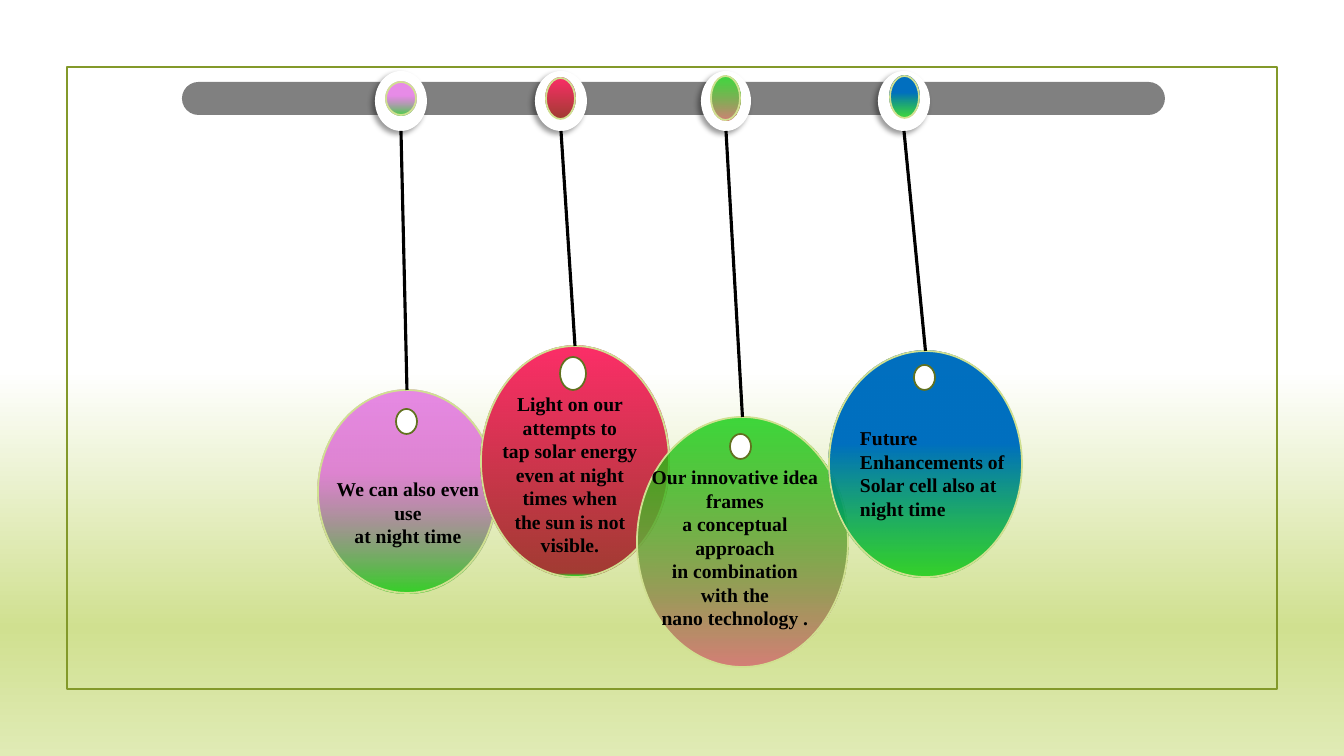
import pptx
import pptx.dml.color
import pptx.enum.dml
import pptx.enum.shapes
import pptx.enum.text
import pptx.oxml
import pptx.oxml.ns
import pptx.util

RGB = pptx.dml.color.RGBColor
WHITE = RGB(0xFF, 0xFF, 0xFF)
BLACK = RGB(0x00, 0x00, 0x00)
GREY = RGB(0x80, 0x80, 0x80)
OLIVE = RGB(0x83, 0x99, 0x2A)
DARK_OLIVE = RGB(0x61, 0x71, 0x1F)
PALE = RGB(0xD0, 0xE0, 0x90)
MIST = RGB(0xE0, 0xEB, 0xB5)
PURPLE = RGB(0xCC, 0x00, 0xCC)
GREEN = RGB(0x00, 0xCC, 0x00)
PINK = RGB(0xFA, 0x2F, 0x67)
BRICK = RGB(0xA2, 0x3C, 0x33)
SALMON = RGB(0xD4, 0x7F, 0x77)
BLUE = RGB(0x00, 0x70, 0xC0)

# Boxes are (left, top, width, height) in px; gradient stops are (position %, colour, opacity %)
PAGE_SIZE = (1344, 756)
BACKDROP = [(49, WHITE, 100), (83, PALE, 100), (100, MIST, 100)]
FRAME = (67, 67, 1210, 622)
RAIL_BACK = (137, 71, 1069, 60)
RAIL = (182, 82, 983, 33)
PENDULUMS = [
    {"ball": (318, 390, 178, 203), "hole": (396, 409, 21, 25),
     "ring": (375, 71, 52, 60), "bead": (386, 82, 30, 33),
     "stops": [(41, PURPLE, 45), (100, GREEN, 75)],
     "label": (323, 472, 170, 82), "centred": True,
     "lines": ["We can also even use", "at night time"]},
    {"ball": (481, 346, 188, 231), "hole": (560, 357, 26, 33),
     "ring": (535, 71, 52, 60), "bead": (546, 78, 29, 41),
     "stops": [(3, PINK, 100), (98, BRICK, 100), (99, GREEN, 75)],
     "label": (484, 387, 172, 176), "centred": True,
     "lines": ["Light on our attempts to", "tap solar energy",
               "even at night times when", "the sun is not visible."]},
    {"ball": (637, 417, 211, 250), "hole": (730, 434, 21, 25),
     "ring": (701, 71, 50, 60), "bead": (711, 76, 29, 44),
     "stops": [(0, GREEN, 75), (100, SALMON, 100)],
     "label": (632, 460, 206, 176), "centred": True,
     "lines": ["Our innovative idea", "frames", "a conceptual approach",
               "in combination", "with the", "nano technology ."]},
    {"ball": (829, 351, 193, 226), "hole": (914, 365, 21, 25),
     "ring": (878, 71, 52, 60), "bead": (890, 76, 29, 42),
     "stops": [(41, BLUE, 100), (100, GREEN, 75)],
     "label": (850, 421, 191, 105), "centred": False,
     "lines": ["Future", "Enhancements of Solar cell also at night time"]},
]

KIND = pptx.enum.shapes.MSO_SHAPE
qn = pptx.oxml.ns.qn
NS = pptx.oxml.ns.nsdecls("a")
EMU_PER_PX = 12192000 / PAGE_SIZE[0]


def emu(*lengths):
    return [round(length * EMU_PER_PX) for length in lengths]


def paint_gradient(fill, owner, stops):
    fill.gradient()
    fill.gradient_angle = 270
    stop_list = owner.find(".//" + qn("a:gsLst"))
    for stop in list(stop_list):
        stop_list.remove(stop)
    for position, colour, opacity in stops:
        stop_list.append(pptx.oxml.parse_xml(
            f'<a:gs {NS} pos="{position * 1000}"><a:srgbClr val="{colour}">'
            f'<a:alpha val="{opacity * 1000}"/></a:srgbClr></a:gs>'))


def add_part(page, kind, box, fill=None, stops=None, line=None):
    part = page.shapes.add_shape(kind, *emu(*box))
    part.shadow.inherit = False
    if stops:
        paint_gradient(part.fill, part.element, stops)
    elif fill is not None:
        part.fill.solid()
        part.fill.fore_color.rgb = fill
    else:
        part.fill.background()
    if line is None:
        part.line.fill.background()
    else:
        part.line.color.rgb = line
        part.line.width = pptx.util.Pt(1.25)
    return part


def add_ring(page, box):
    ring = add_part(page, KIND.OVAL, box, fill=WHITE)
    effects = ring.element.spPr.find(qn("a:effectLst"))
    effects.append(pptx.oxml.parse_xml(
        f'<a:outerShdw {NS} blurRad="{pptx.util.Pt(4)}" dist="{pptx.util.Pt(3)}" '
        'dir="8100000" algn="tr" rotWithShape="0"><a:srgbClr val="000000">'
        '<a:alpha val="40000"/></a:srgbClr></a:outerShdw>'))


def add_rope(page, ring_box, ball):
    left, top, width, height = ring_box
    start = emu(left + width / 2, top + height)
    rope = page.shapes.add_connector(
        pptx.enum.shapes.MSO_CONNECTOR.STRAIGHT, *start, *start)
    rope.end_connect(ball, 0)
    rope.line.color.rgb = BLACK
    rope.line.width = pptx.util.Pt(2.25)
    rope.element.spPr.append(pptx.oxml.parse_xml(f"<a:effectLst {NS}/>"))


def add_label(page, box, lines, centred):
    frame = page.shapes.add_textbox(*emu(*box)).text_frame
    frame.word_wrap = True
    frame.auto_size = pptx.enum.text.MSO_AUTO_SIZE.SHAPE_TO_FIT_TEXT
    frame.text = "\n".join(lines)
    align = pptx.enum.text.PP_ALIGN
    for para in frame.paragraphs:
        para.alignment = align.CENTER if centred else align.LEFT
        para.font.name = "Times New Roman"
        para.font.size = pptx.util.Pt(14)
        para.font.bold = True
        para.font.color.rgb = BLACK


def main():
    deck = pptx.Presentation()
    deck.slide_width, deck.slide_height = emu(*PAGE_SIZE)
    page = deck.slides.add_slide(deck.slide_layouts[6])

    # Background, frame and rail
    paint_gradient(page.background.fill, page.element, BACKDROP)
    add_part(page, KIND.RECTANGLE, FRAME, line=OLIVE)
    for box, colour in ((RAIL_BACK, WHITE), (RAIL, GREY)):
        rail = add_part(page, KIND.ROUNDED_RECTANGLE, box, fill=colour)
        rail.adjustments[0] = 0.5

    # Balls lie below everything that hangs on them
    balls = [add_part(page, KIND.OVAL, item["ball"], stops=item["stops"], line=PALE)
             for item in PENDULUMS]

    # Holes, rings, beads, ropes and labels
    for item, ball in zip(PENDULUMS, balls):
        add_part(page, KIND.OVAL, item["hole"], fill=WHITE, line=DARK_OLIVE)
        add_ring(page, item["ring"])
        add_part(page, KIND.OVAL, item["bead"], stops=item["stops"], line=PALE)
        add_rope(page, item["ring"], ball)
        add_label(page, item["label"], item["lines"], item["centred"])

    deck.save("out.pptx")


if __name__ == "__main__":
    main()
